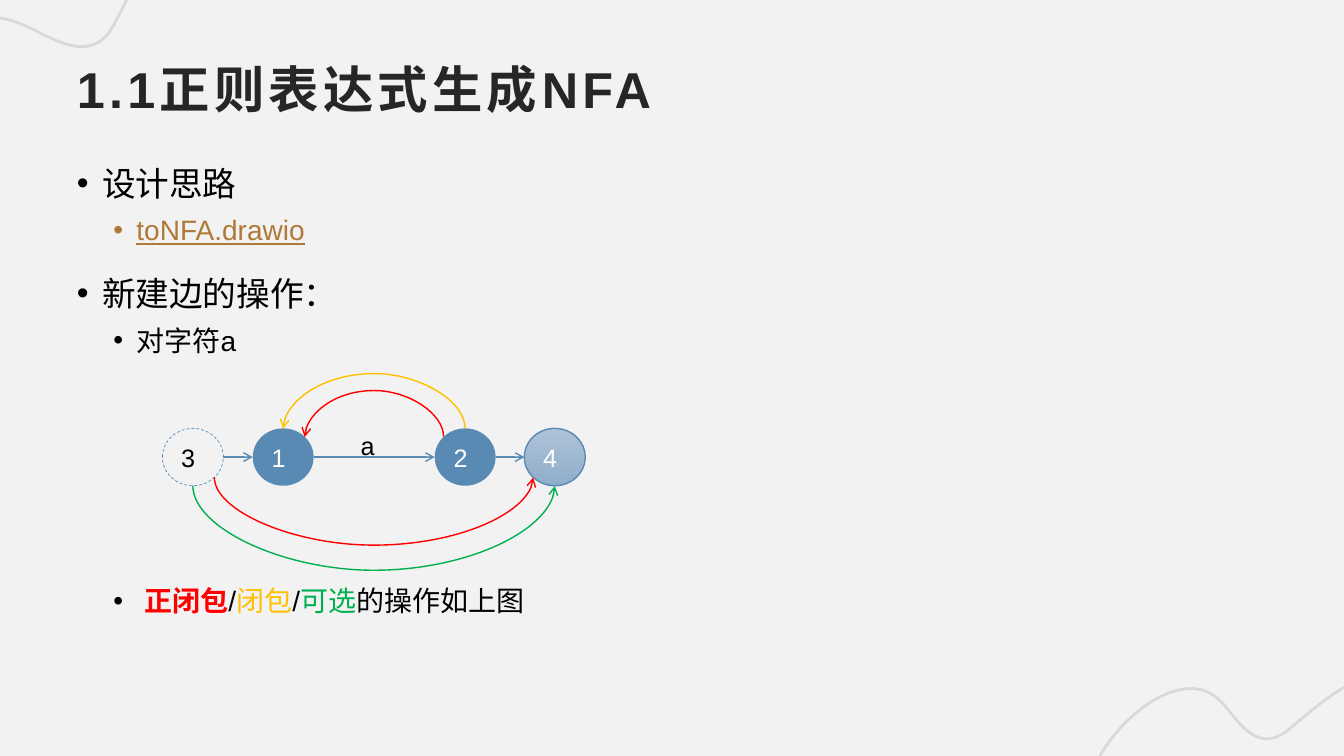
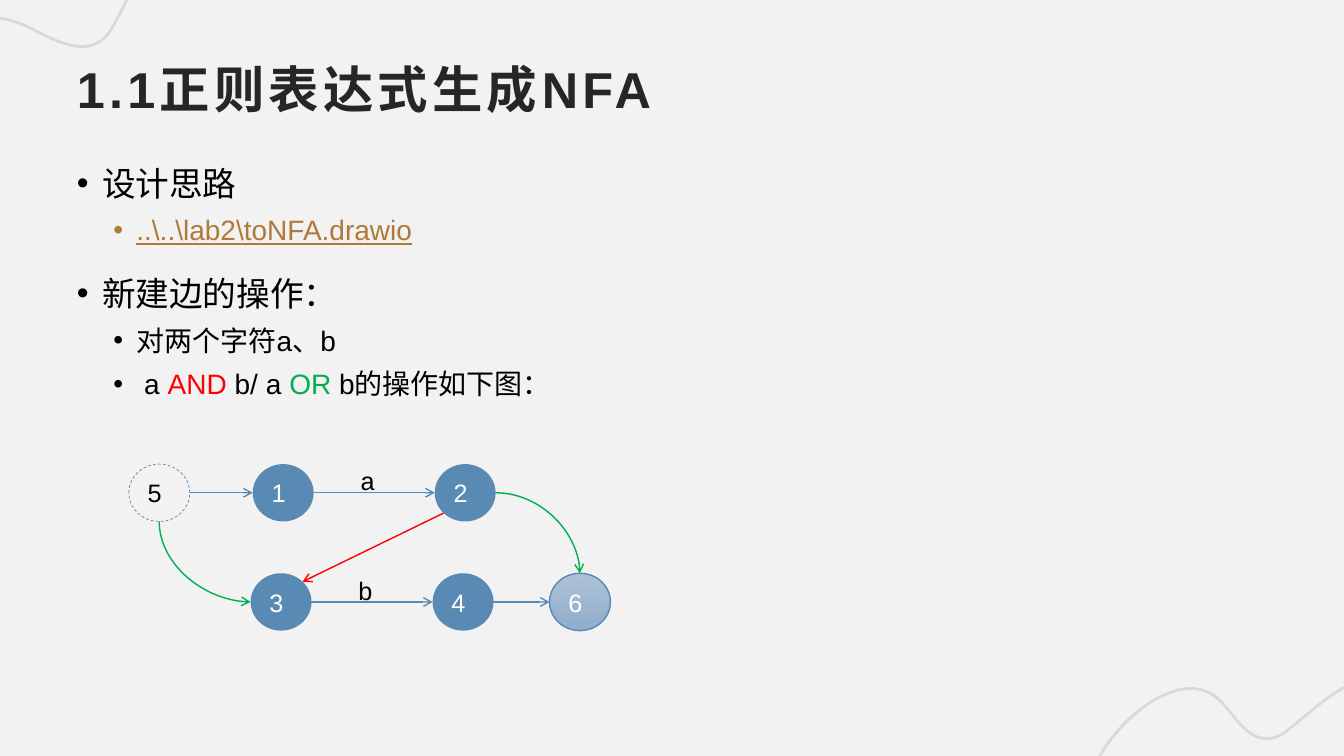
from dataclasses import dataclass
from math import cos, radians, sin

from lxml.etree import SubElement
from pptx import Presentation
from pptx.dml.color import RGBColor
from pptx.enum.dml import MSO_LINE
from pptx.enum.shapes import MSO_CONNECTOR, MSO_SHAPE
from pptx.enum.text import MSO_ANCHOR, MSO_AUTO_SIZE, PP_ALIGN
from pptx.oxml.ns import qn
from pptx.util import Pt

FONT = "Arial"
PAPER = RGBColor(0xF2, 0xF2, 0xF2)
INK = RGBColor(0x26, 0x26, 0x26)
WAVE = RGBColor(0x01, 0x01, 0x01)
BLACK = RGBColor(0x00, 0x00, 0x00)
WHITE = RGBColor(0xFF, 0xFF, 0xFF)
BLUE = RGBColor(0x58, 0x8A, 0xB4)
PALE_TOP = RGBColor(0xAE, 0xC2, 0xD7)
PALE_BOTTOM = RGBColor(0x90, 0xAD, 0xCB)
BROWN = RGBColor(0xAF, 0x79, 0x38)
RED = RGBColor(0xFF, 0x00, 0x00)
AMBER = RGBColor(0xFF, 0xC0, 0x00)
GREEN = RGBColor(0x00, 0xB0, 0x50)

NODE_W, NODE_H = 43.5, 41
TOP, TOP_LEFT, LEFT, BOTTOM_LEFT, BOTTOM, BOTTOM_RIGHT, RIGHT, TOP_RIGHT = range(8)
MIN_SPAN = 0.25

WAVES = [
    [(785.5, 540), (806, 505), (850, 475), (873.5, 502.5),
     (885, 515), (898.5, 541.5), (923, 519), (934, 510), (945, 500), (960, 491)],
    [(0, 13), (5, 13.5), (11, 15.5), (16, 17.5),
     (36, 26), (66, 49), (82, 16.5), (85, 11), (88, 5), (90.5, 0)],
]


@dataclass
class Run:
    text: str
    color: RGBColor = BLACK
    bold: bool = False
    underline: bool = False


@dataclass
class Bullet:
    runs: list[Run]
    level: int = 1
    before: float = 0


@dataclass
class Node:
    name: str
    x: float
    y: float
    kind: str = "state"

    def site(self, k: int) -> tuple[float, float]:
        """Return the connection site k, counted counter-clockwise from the top."""
        a = radians(45 * k)
        return (self.x + NODE_W / 2 * (1 - sin(a)), self.y + NODE_H / 2 * (1 - cos(a)))


@dataclass
class Edge:
    start: str
    start_site: int
    end: str
    end_site: int
    color: RGBColor = BLUE
    curved: bool = False
    rot: int = 0
    flip: str = ""
    depth: float = 0


@dataclass
class Label:
    text: str
    x: float
    y: float


@dataclass
class Page:
    bullets: list[Bullet]
    nodes: list[Node]
    edges: list[Edge]
    labels: list[Label]


def add_run(p, text: str, size: float, color: RGBColor):
    """Add one run in the shared font."""
    r = p.add_run()
    r.text = text
    r.font.name, r.font.size = FONT, Pt(size)
    r.font.color.rgb = color
    SubElement(r.font._element, qn("a:ea")).set("typeface", FONT)
    return r


def clear_insets(tf) -> None:
    """Remove the margins of a text frame and fix its size."""
    tf.margin_left = tf.margin_top = tf.margin_right = tf.margin_bottom = 0
    tf.word_wrap, tf.auto_size = True, MSO_AUTO_SIZE.NONE


def add_wave(s, pts: list[tuple[float, float]]) -> None:
    """Draw a chain of cubic curves as a faint open line."""
    steps, line = 16, []
    for i in range(0, len(pts) - 1, 3):
        a, b, c, d = pts[i:i + 4]
        for n in range(1, steps + 1):
            t = n / steps
            u = 1 - t
            line.append(tuple(
                Pt(u**3 * a[k] + 3 * u * u * t * b[k] + 3 * u * t * t * c[k] + t**3 * d[k])
                for k in (0, 1)))
    fb = s.shapes.build_freeform(Pt(pts[0][0]), Pt(pts[0][1]))
    fb.add_line_segments(line, close=False)
    sp = fb.convert_to_shape()
    sp.shadow.inherit = False
    sp.fill.background()
    sp.line.width = Pt(2)
    sp.line.color.rgb = WAVE
    rgb = sp.element.spPr.find(qn("a:ln")).find(".//" + qn("a:srgbClr"))
    SubElement(rgb, qn("a:alpha")).set("val", "10000")


def add_title(s, text: str) -> None:
    """Place and format the title placeholder."""
    sp = s.shapes.title
    sp.left, sp.top, sp.width, sp.height = Pt(55), Pt(28), Pt(850), Pt(57)
    tf = sp.text_frame
    clear_insets(tf)
    tf.vertical_anchor = MSO_ANCHOR.BOTTOM
    p = tf.paragraphs[0]
    p.alignment = PP_ALIGN.LEFT
    r = add_run(p, text, 36, INK)
    r.font.bold = True
    r.font._element.set("spc", "300")


def add_bullets(s, bullets: list[Bullet]) -> None:
    """Write the two-level bullet list."""
    tf = s.shapes.add_textbox(Pt(55), Pt(107.5), Pt(850), Pt(350)).text_frame
    clear_insets(tf)
    for i, b in enumerate(bullets):
        p = tf.paragraphs[0] if i == 0 else tf.add_paragraph()
        p.line_spacing, p.space_before, p.space_after = 1.3, Pt(b.before), Pt(0)
        margin, hang = ((18, 18), (42.5, 16.5))[b.level]
        ppr = p._p.get_or_add_pPr()
        ppr.set("marL", str(Pt(margin)))
        ppr.set("indent", str(-Pt(hang)))
        SubElement(ppr, qn("a:buFont")).set("typeface", FONT)
        SubElement(ppr, qn("a:buChar")).set("char", "•")
        for run in b.runs:
            r = add_run(p, run.text, (24, 20)[b.level], run.color)
            r.font.bold, r.font.underline = run.bold, run.underline


def add_node(s, node: Node):
    """Draw one automaton state as an ellipse."""
    sp = s.shapes.add_shape(MSO_SHAPE.OVAL, Pt(node.x), Pt(node.y), Pt(NODE_W), Pt(NODE_H))
    sp.shadow.inherit = False
    if node.kind == "start":
        sp.fill.background()
        sp.line.color.rgb, sp.line.width = BLUE, Pt(0.5)
        sp.line.dash_style = MSO_LINE.DASH
    elif node.kind == "final":
        sp.fill.gradient()
        sp.fill.gradient_angle = 270
        for stop, color in zip(sp.fill.gradient_stops, (PALE_TOP, PALE_BOTTOM)):
            stop.color.rgb = color
        sp.line.color.rgb, sp.line.width = BLUE, Pt(1)
    else:
        sp.fill.solid()
        sp.fill.fore_color.rgb = BLUE
        sp.line.fill.background()
    tf = sp.text_frame
    tf.vertical_anchor = MSO_ANCHOR.MIDDLE
    p = tf.paragraphs[0]
    p.alignment = PP_ALIGN.LEFT
    add_run(p, node.name, 18, BLACK if node.kind == "start" else WHITE)
    return sp


def bend(c, e: Edge, x1: float, y1: float, x2: float, y2: float) -> None:
    """Turn a connector into a rotated curve, a bow where it has a depth."""
    w, h = abs(x2 - x1), abs(y2 - y1)
    if e.rot in (90, 270):
        w, h = h, w
    w = max(w, MIN_SPAN)
    c.left, c.top = Pt((x1 + x2 - w) / 2), Pt((y1 + y2 - h) / 2)
    c.width, c.height = Pt(w), Pt(h)
    xfrm = c.element.spPr.find(qn("a:xfrm"))
    xfrm.set("rot", str(e.rot * 60000))
    xfrm.set("flipH", str(int("h" in e.flip)))
    xfrm.set("flipV", str(int("v" in e.flip)))
    geom = c.element.spPr.find(qn("a:prstGeom"))
    if e.depth:
        gd = SubElement(geom.find(qn("a:avLst")), qn("a:gd"))
        gd.set("name", "adj1")
        gd.set("fmla", f"val {round(e.depth / w * 100000)}")
    else:
        geom.set("prst", "curvedConnector2")


def add_edge(s, e: Edge, nodes: dict[str, Node], shapes: dict) -> None:
    """Draw an arrow glued to two states."""
    x1, y1 = nodes[e.start].site(e.start_site)
    x2, y2 = nodes[e.end].site(e.end_site)
    kind = MSO_CONNECTOR.CURVE if e.curved else MSO_CONNECTOR.STRAIGHT
    c = s.shapes.add_connector(kind, Pt(x1), Pt(y1), Pt(x2), Pt(y2))
    if e.curved:
        bend(c, e, x1, y1, x2, y2)
    c.line.color.rgb, c.line.width = e.color, Pt(1)
    spPr = c.element.spPr
    SubElement(spPr.find(qn("a:ln")), qn("a:tailEnd")).set("type", "arrow")
    SubElement(spPr, qn("a:effectLst"))
    glue = c.element.nvCxnSpPr.cNvCxnSpPr
    for tag, name, site in (("a:stCxn", e.start, e.start_site), ("a:endCxn", e.end, e.end_site)):
        cxn = SubElement(glue, qn(tag))
        cxn.set("id", str(shapes[name].shape_id))
        cxn.set("idx", str(site))


def add_label(s, label: Label) -> None:
    """Write the character above an arrow."""
    tf = s.shapes.add_textbox(Pt(label.x), Pt(label.y), Pt(25), Pt(19)).text_frame
    tf.word_wrap = True
    add_run(tf.paragraphs[0], label.text, 18, BLACK)


def add_page(prs, page: Page) -> None:
    """Build one slide with list and automaton."""
    s = prs.slides.add_slide(prs.slide_layouts[5])
    for pts in WAVES:
        add_wave(s, pts)
    add_title(s, "1.1正则表达式生成NFA")
    add_bullets(s, page.bullets)
    nodes = {n.name: n for n in page.nodes}
    shapes = {n.name: add_node(s, n) for n in page.nodes}
    for e in page.edges:
        add_edge(s, e, nodes, shapes)
    for label in page.labels:
        add_label(s, label)


def intro(file: str) -> list[Bullet]:
    """Return the bullets that open each list."""
    return [
        Bullet([Run("设计思路")], 0),
        Bullet([Run(file, BROWN, underline=True)]),
        Bullet([Run("新建边的操作：")], 0, 10),
    ]


CLOSURES = Page(
    intro("toNFA.drawio") + [
        Bullet([Run("对字符a")]),
        Bullet([Run(" ", bold=True), Run("正闭包", RED, True), Run("/"), Run("闭包", AMBER),
                Run("/"), Run("可选", GREEN), Run("的操作如上图")], before=155),
    ],
    [Node("1", 180.5, 306), Node("2", 310.5, 306),
     Node("3", 116, 306, "start"), Node("4", 374.5, 306, "final")],
    [Edge("1", RIGHT, "2", LEFT), Edge("2", RIGHT, "4", LEFT), Edge("3", RIGHT, "1", LEFT),
     Edge("3", BOTTOM, "4", BOTTOM, GREEN, True, 90, "v", 59.2),
     Edge("3", BOTTOM_RIGHT, "4", BOTTOM_LEFT, RED, True, 90, "v", 47.5),
     Edge("2", TOP_LEFT, "1", TOP_RIGHT, RED, True, 270, "hv", -32.3),
     Edge("2", TOP, "1", TOP, AMBER, True, 270, "hv", -38.3)],
    [Label("a", 250.5, 304)],
)

AND_OR = Page(
    intro("..\\..\\lab2\\toNFA.drawio") + [
        Bullet([Run("对两个字符a、b")]),
        Bullet([Run(" a "), Run("AND ", RED), Run("b/ a "), Run("OR ", GREEN),
                Run("b的操作如下图：")]),
    ],
    [Node("1", 180.5, 331.5), Node("2", 310.5, 331.5), Node("3", 179, 409.5),
     Node("4", 309, 409.5), Node("5", 92, 331.5, "start"), Node("6", 392.5, 409.5, "final")],
    [Edge("1", RIGHT, "2", LEFT), Edge("3", RIGHT, "4", LEFT),
     Edge("5", RIGHT, "1", LEFT), Edge("4", RIGHT, "6", LEFT),
     Edge("5", BOTTOM, "3", LEFT, GREEN, True, 90, "v"),
     Edge("2", RIGHT, "6", TOP, GREEN, True),
     Edge("2", BOTTOM_LEFT, "3", TOP_RIGHT, RED)],
    [Label("a", 250.5, 329), Label("b", 249, 407.5)],
)


def main() -> None:
    """Build and save the presentation."""
    prs = Presentation()
    prs.slide_width, prs.slide_height = Pt(960), Pt(540)
    fill = prs.slide_master.background.fill
    fill.solid()
    fill.fore_color.rgb = PAPER
    for page in (CLOSURES, AND_OR):
        add_page(prs, page)
    prs.save("out.pptx")


if __name__ == "__main__":
    main()
